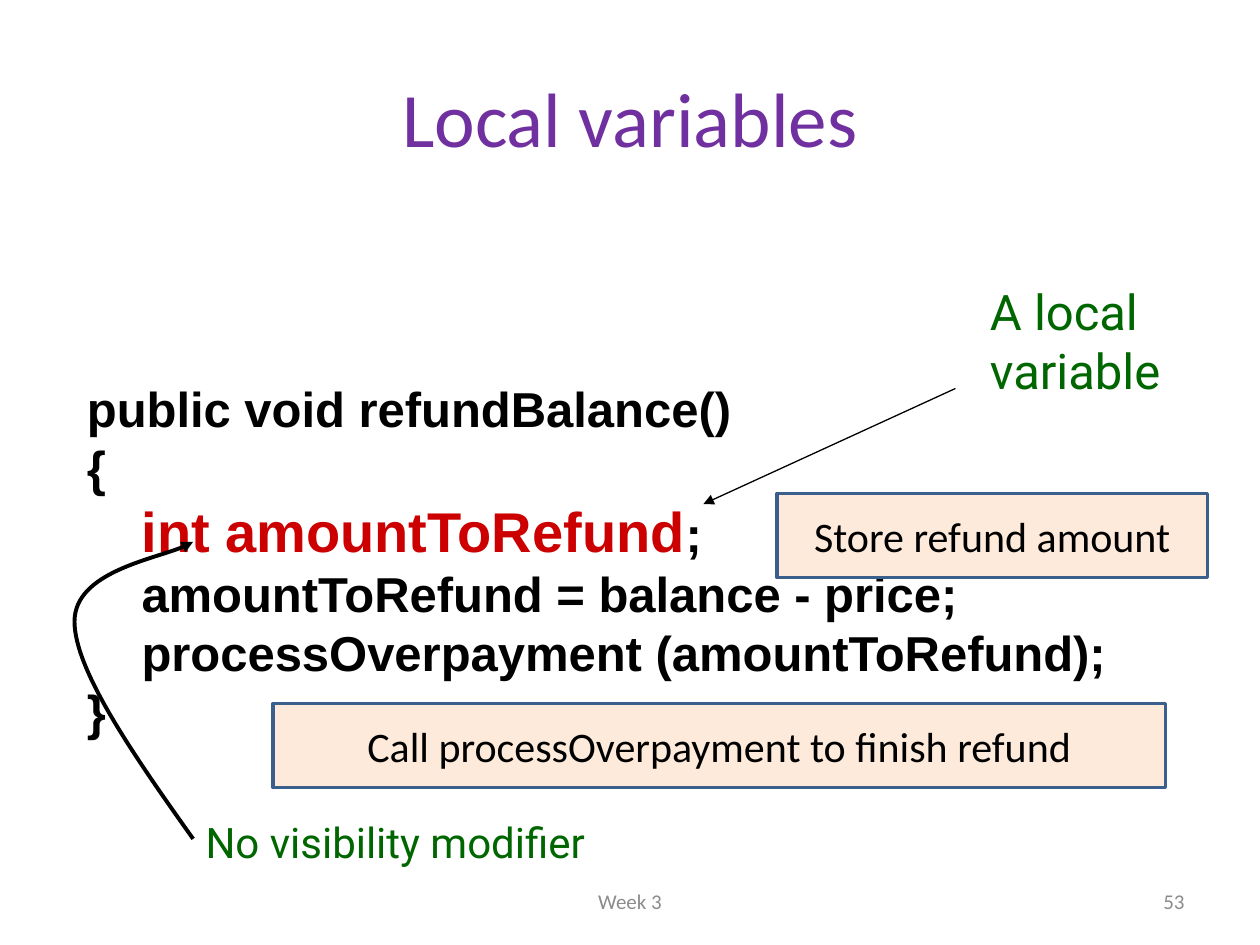
import pptx
import pptx.util
import pptx.dml.color
import pptx.enum.shapes
import pptx.enum.text
import pptx.oxml
import pptx.oxml.ns
from lxml import etree

COLORS = {
    "title": "7030A0", "code": "000000", "key": "CC0000", "note": "006600",
    "footer": "8C8C8C", "fill": "FDEADA", "border": "3A5F8C", "line": "000000",
}
ALIGN = pptx.enum.text.PP_ALIGN
MIDDLE = pptx.enum.text.MSO_ANCHOR.MIDDLE
CODE_INDENT = 5.2
CODE = [  # (indented, [(text, size, colour), ...])
    (False, [("public void refundBalance()", 28, "code")]),
    (False, [("{", 28, "code")]),
    (True, [("int amountToRefund", 32, "key"), (";", 28, "code")]),
    (True, [("amountToRefund = balance - price;", 28, "code")]),
    (True, [("processOverpayment (amountToRefund);", 28, "code")]),
    (False, [("}", 28, "code")]),
]


def grid(*cells):
    """Turn cells of the 120 by 90 slide grid into lengths."""
    return [pptx.util.Inches(cell / 12) for cell in cells]


def color(name):
    """Look up a palette colour."""
    return pptx.dml.color.RGBColor.from_string(COLORS[name])


def style(font, name, size, tone, bold=None):
    """Set the face, size, colour and weight of a font."""
    font.name, font.size, font.bold = name, pptx.util.Pt(size), bold
    font.color.rgb = color(tone)


def write(shape, lines, name, size, tone, align=ALIGN.LEFT, anchor=None, wrap=True):
    """Fill a shape with equally formatted paragraphs."""
    frame = shape.text_frame
    frame.text = "\n".join(lines)
    frame.word_wrap = wrap
    if anchor is not None:
        frame.vertical_anchor = anchor
    for para in frame.paragraphs:
        para.alignment = align
        style(para.font, name, size, tone)


def add_text(page, place, lines, name, size, tone, **options):
    """Add a plain text box."""
    box = page.shapes.add_textbox(*grid(*place))
    write(box, lines, name, size, tone, **options)


def add_code(page, place):
    """Add the method listing, with its body indented."""
    box = page.shapes.add_textbox(*grid(*place))
    frame = box.text_frame
    frame.word_wrap = True
    for number, (indented, spans) in enumerate(CODE):
        para = frame.add_paragraph() if number else frame.paragraphs[0]
        if indented:
            para._p.get_or_add_pPr().set("marL", str(grid(CODE_INDENT)[0]))
        for text, size, tone in spans:
            span = para.add_run()
            span.text = text
            style(span.font, "Arial", size, tone, True)


def add_callout(page, place, text):
    """Add a bordered explanation box."""
    box = page.shapes.add_shape(pptx.enum.shapes.MSO_SHAPE.RECTANGLE, *grid(*place))
    box.shadow.inherit = False
    box.fill.solid()
    box.fill.fore_color.rgb = color("fill")
    box.line.color.rgb = color("border")
    box.line.width = pptx.util.Pt(2)
    write(box, [text], "Calibri", 24, "code", align=ALIGN.CENTER, anchor=MIDDLE)


def format_arrow(shape, width):
    """Style a line and put a triangle at its end."""
    shape.line.color.rgb = color("line")
    shape.line.width = pptx.util.Pt(width)
    outline = shape.line._get_or_add_ln()
    etree.SubElement(outline, pptx.oxml.ns.qn("a:tailEnd"), type="triangle")


def add_arrow(page, start, end):
    """Add a straight arrow."""
    arrow = page.shapes.add_connector(
        pptx.enum.shapes.MSO_CONNECTOR.STRAIGHT, *grid(*start, *end))
    format_arrow(arrow, 0.75)
    etree.SubElement(arrow._element.spPr, pptx.oxml.ns.qn("a:effectLst"))


def add_curved_arrow(page, points):
    """Add an arrow along Bezier curves: a start, then three points per curve."""
    start, *controls = [tuple(grid(*point)) for point in points]
    builder = page.shapes.build_freeform(*start)
    builder.add_line_segments(controls, close=False)
    arrow = builder.convert_to_shape()
    arrow.shadow.inherit = False
    arrow.fill.background()
    format_arrow(arrow, 2.25)
    qn = pptx.oxml.ns.qn
    segments = list(arrow._element.iter(qn("a:lnTo")))
    outline = segments[0].getparent()
    for first in range(0, len(segments), 3):
        curve = etree.SubElement(outline, qn("a:cubicBezTo"))
        for segment in segments[first:first + 3]:
            curve.append(segment[0])
            outline.remove(segment)


def add_title(page, place, text):
    """Place and format the title placeholder."""
    title = page.shapes.title
    title.left, title.top, title.width, title.height = grid(*place)
    write(title, [text], "Calibri", 44, "title", align=ALIGN.CENTER, anchor=MIDDLE)


def main():
    """Build the slide and save it."""
    deck = pptx.Presentation()
    deck.slide_width, deck.slide_height = grid(120, 90)
    page = deck.slides.add_slide(deck.slide_layouts.get_by_name("Title Only"))
    add_title(page, (6, 3.6, 108, 15), "Local variables")
    add_code(page, (7.1, 35.5, 105.8, 36))
    add_text(page, (93.1, 26.2, 19.3, 12.4), ["A local", "variable"],
             "Roboto", 28, "note", wrap=False)
    add_arrow(page, (91, 37), (67, 48))
    add_text(page, (18.4, 77.2, 61.4, 6), ["No visibility modifier"],
             "Roboto", 24, "note")
    add_curved_arrow(page, [(18.4, 79.9), (12.7, 71.9), (7.1, 63.8), (7.1, 59.2),
                            (7.1, 54.5), (16.6, 52.9), (18.4, 51.6)])
    for place, text, align in [((86, 83.4, 28, 4.8), "53", ALIGN.RIGHT),
                               ((41, 83.4, 38, 4.8), "Week 3", ALIGN.CENTER)]:
        add_text(page, place, [text], "Calibri", 12, "footer",
                 align=align, anchor=MIDDLE)
    add_callout(page, (26, 67, 85, 8), "Call processOverpayment to finish refund")
    add_callout(page, (74, 47, 41, 8), "Store refund amount")
    deck.save("out.pptx")


main()
